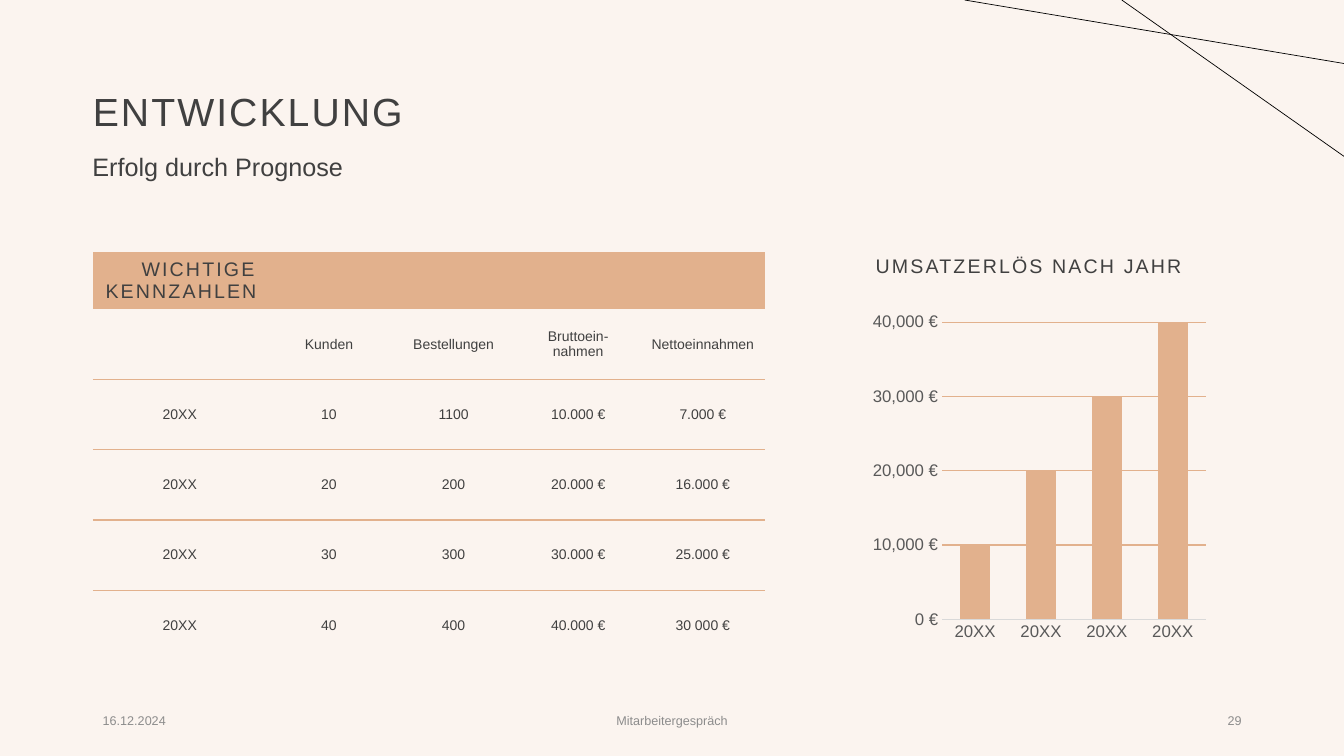
from dataclasses import dataclass

from lxml import etree
from pptx import Presentation
from pptx.chart.data import CategoryChartData
from pptx.dml.color import RGBColor
from pptx.enum.chart import XL_CHART_TYPE, XL_TICK_MARK
from pptx.enum.shapes import MSO_CONNECTOR
from pptx.enum.text import MSO_ANCHOR, PP_ALIGN
from pptx.oxml.ns import qn
from pptx.util import Cm, Pt

LEFT, CENTER, RIGHT = PP_ALIGN.LEFT, PP_ALIGN.CENTER, PP_ALIGN.RIGHT
TOP, MIDDLE = MSO_ANCHOR.TOP, MSO_ANCHOR.MIDDLE
COLUMNS = XL_CHART_TYPE.COLUMN_CLUSTERED
NO_TICKS = XL_TICK_MARK.NONE
STRAIGHT = MSO_CONNECTOR.STRAIGHT
NO_TABLE_STYLE = "{2D5ABB26-0587-4C30-8999-92F81FD0307C}"


@dataclass(frozen=True)
class Theme:
    font: str = "Arial"
    background: RGBColor = RGBColor(0xFB, 0xF4, 0xEF)
    accent: RGBColor = RGBColor(0xE2, 0xB1, 0x8D)
    text: RGBColor = RGBColor(0x40, 0x40, 0x40)
    axis_text: RGBColor = RGBColor(0x59, 0x59, 0x59)
    axis_line: RGBColor = RGBColor(0xD9, 0xD9, 0xD9)
    footer: RGBColor = RGBColor(0x8C, 0x8C, 0x8C)
    black: RGBColor = RGBColor(0, 0, 0)
    title_size: int = 28
    subtitle_size: int = 18
    heading_size: int = 14
    axis_size: int = 12
    table_size: int = 10
    footer_size: int = 9


THEME = Theme()


def write(frame, text, size, color=THEME.text, align=LEFT, anchor=TOP,
          tracking=0, line_spacing=1.0):
    """Fill a text frame with one formatted paragraph; tracking is in points."""
    frame.word_wrap = True
    frame.vertical_anchor = anchor
    paragraph = frame.paragraphs[0]
    paragraph.alignment = align
    paragraph.line_spacing = line_spacing
    run = paragraph.add_run()
    run.text = text
    run.font.name = THEME.font
    run.font.size = Pt(size)
    run.font.color.rgb = color
    if tracking:
        run.font._element.set("spc", str(int(tracking * 100)))


def underline_cell(cell):
    """Give a table cell a bottom border in the accent colour."""
    border = etree.Element(qn("a:lnB"), w=str(Pt(1)))
    fill = etree.SubElement(border, qn("a:solidFill"))
    etree.SubElement(fill, qn("a:srgbClr"), val=str(THEME.accent))
    cell._tc.get_or_add_tcPr().insert(0, border)


prs = Presentation()
prs.slide_width, prs.slide_height = Cm(33.87), Cm(19.05)
slide = prs.slides.add_slide(prs.slide_layouts[6])
slide.background.fill.solid()
slide.background.fill.fore_color.rgb = THEME.background
shapes = slide.shapes

# Headings
title = shapes.add_textbox(Cm(2.34), Cm(1.02), Cm(29.21), Cm(3.68)).text_frame
title.margin_left = 0
write(title, "ENTWICKLUNG", THEME.title_size, anchor=MIDDLE, tracking=1.5,
      line_spacing=0.9)
subtitle = shapes.add_textbox(Cm(2.08), Cm(3.78), Cm(18.8), Cm(1.37))
write(subtitle.text_frame, "Erfolg durch Prognose", THEME.subtitle_size,
      line_spacing=0.9)
chart_heading = shapes.add_textbox(Cm(21.82), Cm(6.35), Cm(8.74), Cm(0.86))
write(chart_heading.text_frame, "UMSATZERLÖS NACH JAHR", THEME.heading_size,
      tracking=1.5, line_spacing=0.9)

# Key figures
key_figures = [
    ["WICHTIGE KENNZAHLEN", "", "", "", ""],
    ["", "Kunden", "Bestellungen", "Bruttoein-nahmen", "Nettoeinnahmen"],
    ["20XX", "10", "1100", "10.000 €", "7.000 €"],
    ["20XX", "20", "200", "20.000 €", "16.000 €"],
    ["20XX", "30", "300", "30.000 €", "25.000 €"],
    ["20XX", "40", "400", "40.000 €", "30 000 €"],
]
last_row = len(key_figures) - 1
table = shapes.add_table(len(key_figures), 5, Cm(2.34), Cm(6.35),
                         Cm(16.94), Cm(10.21)).table
table.first_row = table.horz_banding = False
table._tbl.tblPr.find(qn("a:tableStyleId")).text = NO_TABLE_STYLE
for index, column in enumerate(table.columns):
    column.width = Cm(3.14 if index else 4.38)
for index, row in enumerate(table.rows):
    row.height = Cm(1.77 if index else 1.36)
    for cell, value in zip(row.cells, key_figures[index]):
        if index == 0:
            cell.fill.solid()
            cell.fill.fore_color.rgb = THEME.accent
        else:
            cell.fill.background()
            if index < last_row:
                underline_cell(cell)
        cell.vertical_anchor = MIDDLE
        if value:
            heading = index == 0
            write(cell.text_frame, value,
                  THEME.heading_size if heading else THEME.table_size,
                  align=RIGHT if heading else CENTER, anchor=None,
                  tracking=1.5 if heading else 0)

# Revenue by year
revenue = CategoryChartData()
revenue.categories = ["20XX"] * 4
revenue.add_series("Series 1", [10000, 20000, 30000, 40000])
chart = shapes.add_chart(COLUMNS, Cm(21.82), Cm(7.72), Cm(8.74), Cm(8.61),
                         revenue).chart
chart.has_legend = chart.has_title = False
chart.font.name = THEME.font
chart.font.size = Pt(THEME.table_size)
chart.font.color.rgb = THEME.black
plot = chart.plots[0]
plot.gap_width, plot.overlap = 118, -3
plot.vary_by_categories = False
bars = plot.series[0].format.fill
bars.solid()
bars.fore_color.rgb = THEME.accent

years, euros = chart.category_axis, chart.value_axis
for axis in (years, euros):
    axis.major_tick_mark = axis.minor_tick_mark = NO_TICKS
    labels = axis.tick_labels.font
    labels.name = THEME.font
    labels.size = Pt(THEME.axis_size)
    labels.color.rgb = THEME.axis_text
years.format.line.color.rgb = THEME.axis_line
years.format.line.width = Pt(0.75)
euros.minimum_scale, euros.maximum_scale, euros.major_unit = 0, 40000, 10000
euros.format.line.fill.background()
euros.major_gridlines.format.line.color.rgb = THEME.accent
euros.major_gridlines.format.line.width = Pt(0.75)
euros.tick_labels.number_format = '#,##0\\ "€"'
euros.tick_labels.number_format_is_linked = False

# Footer
for left, width, text, align in [
    (2.34, 7.62, "16.12.2024", LEFT),
    (11.22, 11.43, "Mitarbeitergespräch", CENTER),
    (23.92, 7.62, "29", RIGHT),
]:
    footer = shapes.add_textbox(Cm(left), Cm(17.65), Cm(width), Cm(1.01))
    write(footer.text_frame, text, THEME.footer_size, color=THEME.footer,
          align=align, anchor=MIDDLE)

# Corner lines
for start_x, end_y in [(28.27, 3.94), (24.31, 1.6)]:
    corner_line = shapes.add_connector(STRAIGHT, Cm(start_x), 0,
                                       prs.slide_width, Cm(end_y))
    corner_line.line.color.rgb = THEME.black
    corner_line.line.width = Pt(0.5)
    etree.SubElement(corner_line._element.spPr, qn("a:effectLst"))

prs.save("out.pptx")
